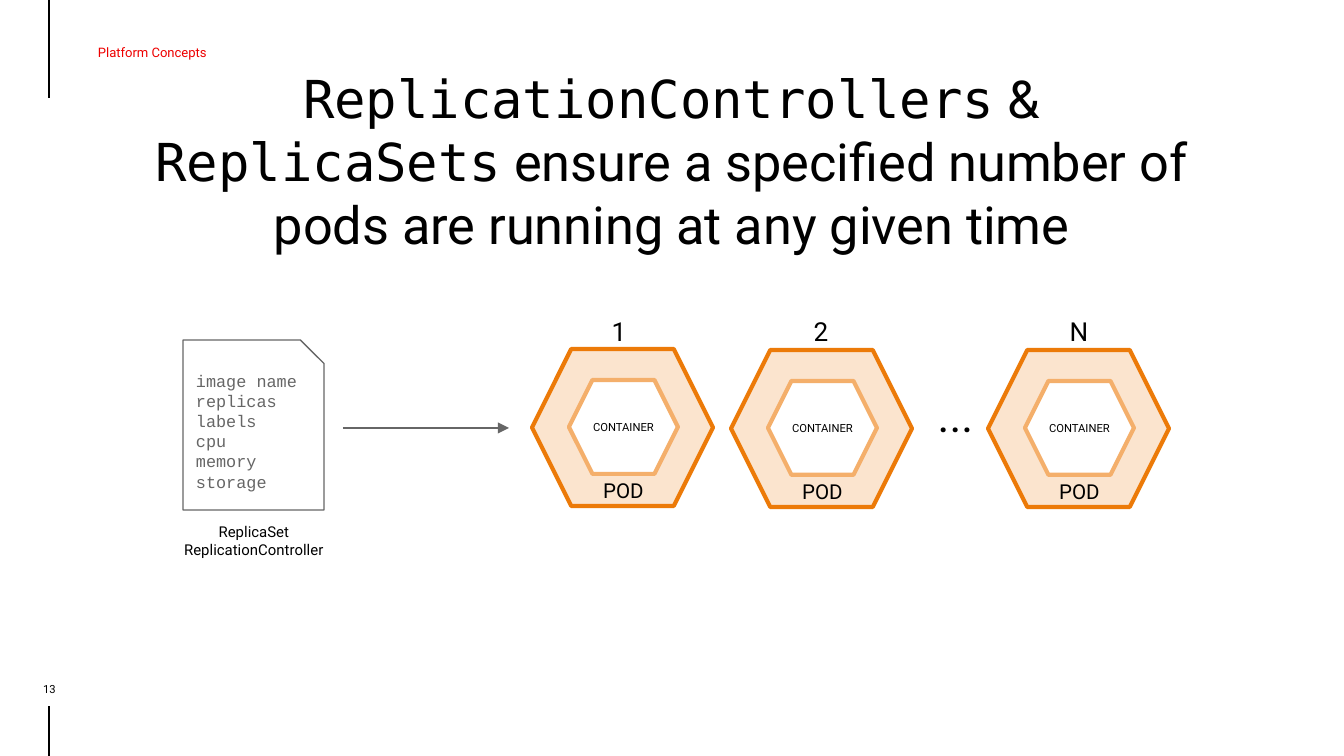
import pptx
import pptx.util
import pptx.dml.color
import pptx.enum.shapes
import pptx.enum.text
import pptx.oxml
import pptx.oxml.ns

PX = 914400 / 134.4
COLORS = {"ink": "000000", "red": "EE0000", "gray": "666666", "white": "FFFFFF",
          "pod_fill": "FBE4CE", "pod_line": "EC7A08", "container_line": "F4AF6B"}
SHAPES = pptx.enum.shapes.MSO_SHAPE
ANCHOR = pptx.enum.text.MSO_ANCHOR
ALIGN = pptx.enum.text.PP_ALIGN
SANS, MONO, CODE = "Roboto", "DejaVu Sans Mono", "Courier New"
PODS = [("1", 532, 349, 568), ("2", 731, 350, 770), ("N", 988, 350, 1028)]


def px(*lengths):
    return [pptx.util.Emu(round(length * PX)) for length in lengths]


def rgb(name):
    return pptx.dml.color.RGBColor.from_string(COLORS[name])


def write(shape, paragraphs, size, color="ink", align=ALIGN.CENTER,
          anchor=ANCHOR.MIDDLE, insets=(13, 13, 13, 13)):
    frame = shape.text_frame
    left, top, right, bottom = px(*insets)
    layout = {"word_wrap": True, "vertical_anchor": anchor, "margin_left": left,
              "margin_top": top, "margin_right": right, "margin_bottom": bottom}
    for name, value in layout.items():
        setattr(frame, name, value)
    for index, spans in enumerate(paragraphs):
        para = frame.add_paragraph() if index else frame.paragraphs[0]
        para.alignment = align
        for text, font in spans:
            span = para.add_run()
            span.text = text
            span.font.color.rgb = rgb(color)
            for name, value in {"name": font, "size": pptx.util.Pt(size)}.items():
                setattr(span.font, name, value)


def add_text(page, box, paragraphs, size, **style):
    write(page.shapes.add_textbox(*px(*box)), paragraphs, size, **style)


def add_outlined(page, kind, box, fill, line, width):
    shape = page.shapes.add_shape(kind, *px(*box))
    shape.shadow.inherit = False
    shape.fill.solid()
    shape.fill.fore_color.rgb = rgb(fill)
    shape.line.color.rgb = rgb(line)
    shape.line.width = pptx.util.Pt(width)
    return shape


def add_line(page, ends, color, arrow=False):
    line = page.shapes.add_connector(pptx.enum.shapes.MSO_CONNECTOR.STRAIGHT, *px(*ends))
    line.line.color.rgb = rgb(color)
    line.line.width = pptx.util.Pt(0.75)
    if arrow:
        tail = pptx.oxml.parse_xml(f'<a:tailEnd {pptx.oxml.ns.nsdecls("a")} type="triangle"/>')
        line.line._get_or_add_ln().append(tail)
    effects = pptx.oxml.parse_xml(f'<a:effectLst {pptx.oxml.ns.nsdecls("a")}/>')
    line._element.spPr.append(effects)


def add_pod(page, number, left, top, number_left):
    add_outlined(page, SHAPES.HEXAGON, (left, top, 181, 157), "pod_fill", "pod_line", 2.25)
    container = add_outlined(page, SHAPES.HEXAGON, (left + 37, top + 31, 109, 94),
                             "white", "container_line", 2.25)
    write(container, [[("CONTAINER", SANS)]], 6, insets=(0, 0, 0, 0))
    add_text(page, (left + 37, top + 128, 109, 26), [[("POD", SANS)]], 11,
             insets=(0, 0, 0, 0))
    add_text(page, (number_left, 312, 102, 39), [[(number, SANS)]], 14)


def add_definition(page):
    sheet = add_outlined(page, SHAPES.SNIP_1_RECTANGLE, (183, 340, 141, 170),
                         "white", "gray", 0.75)
    fields = ["image name", "replicas", "labels", "cpu", "memory", "storage"]
    write(sheet, [[(field, CODE)] for field in fields], 9, color="gray", align=ALIGN.LEFT)
    names = ["ReplicaSet", "ReplicationController"]
    add_text(page, (164, 510, 180, 32), [[(name, SANS)] for name in names], 8,
             anchor=ANCHOR.TOP)


def add_frame(page):
    add_line(page, (49, 98, 49, 0), "ink")
    add_line(page, (49, 756, 49, 706), "ink")
    add_text(page, (50, 7, 567, 90), [[("Platform Concepts", SANS)]], 7, color="red",
             align=ALIGN.LEFT, insets=(48, 9, 9, 9))
    add_text(page, (9, 680, 81, 16), [[("13", SANS)]], 6, anchor=ANCHOR.BOTTOM,
             insets=(0, 0, 0, 0))


def main():
    """Build the slide on replication controllers and replica sets."""
    deck = pptx.Presentation()
    deck.slide_width, deck.slide_height = px(1344, 756)
    page = deck.slides.add_slide(deck.slide_layouts[6])
    add_frame(page)
    title = [("ReplicationControllers", MONO), (" & ", SANS), ("ReplicaSets", MONO),
             (" ensure a specified number of pods are running at any given time", SANS)]
    add_text(page, (121, 112, 1101, 156), [title], 28, anchor=ANCHOR.BOTTOM)
    add_definition(page)
    add_line(page, (343, 428, 509, 428), "gray", arrow=True)
    for pod in PODS:
        add_pod(page, *pod)
    add_text(page, (921, 359, 69, 112), [[("...", SANS)]], 24)
    deck.save("out.pptx")


if __name__ == "__main__":
    main()
